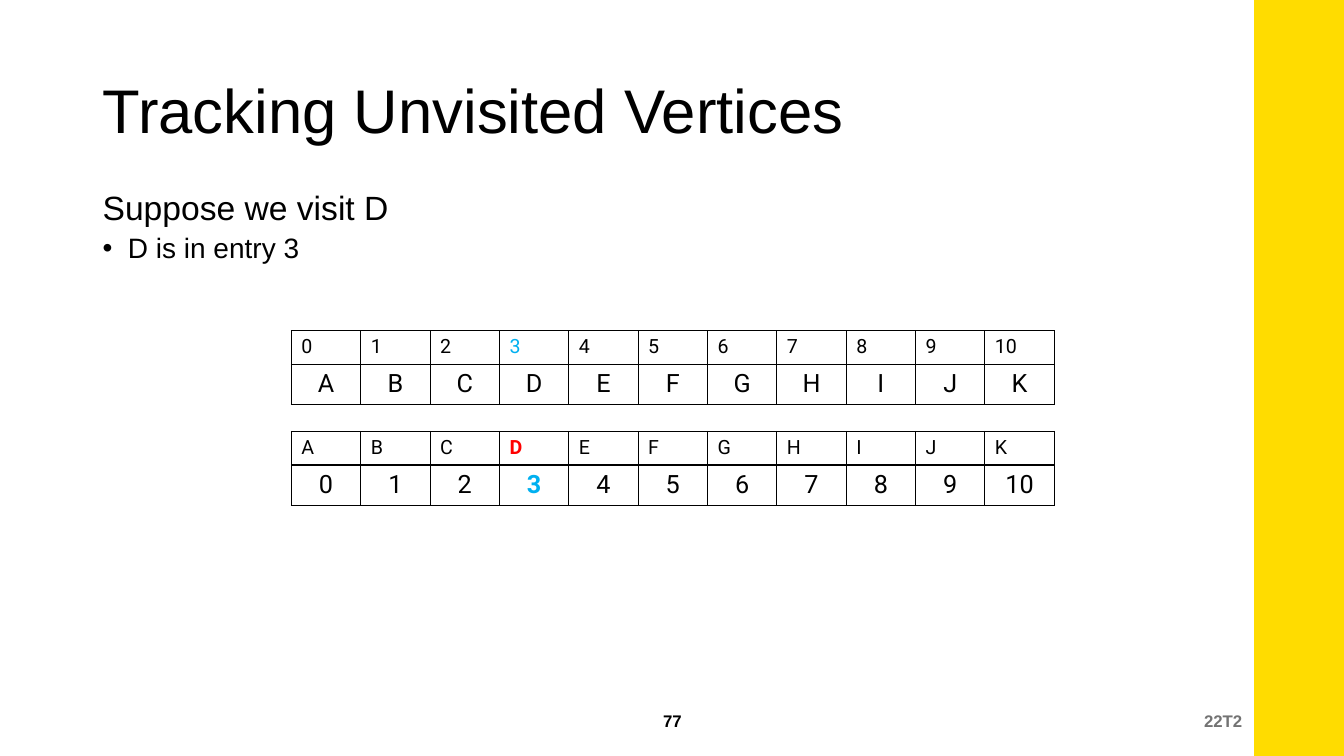
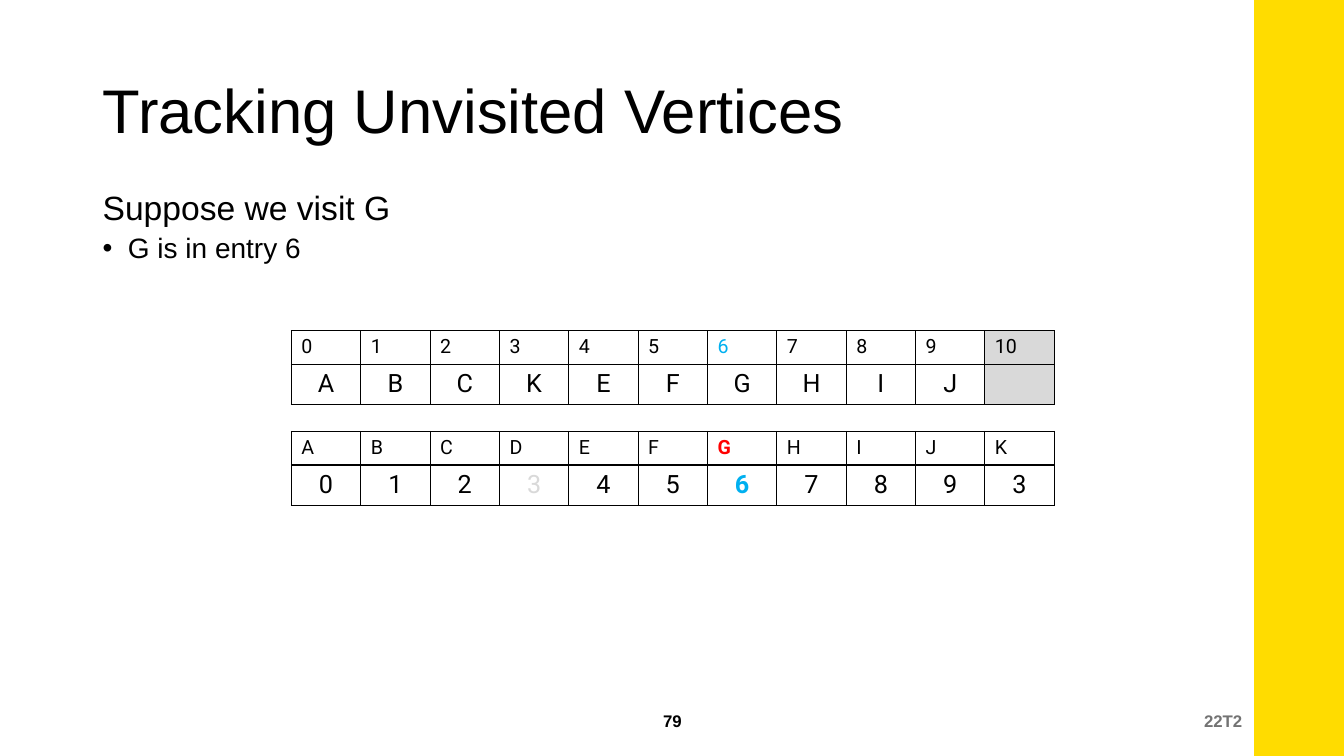
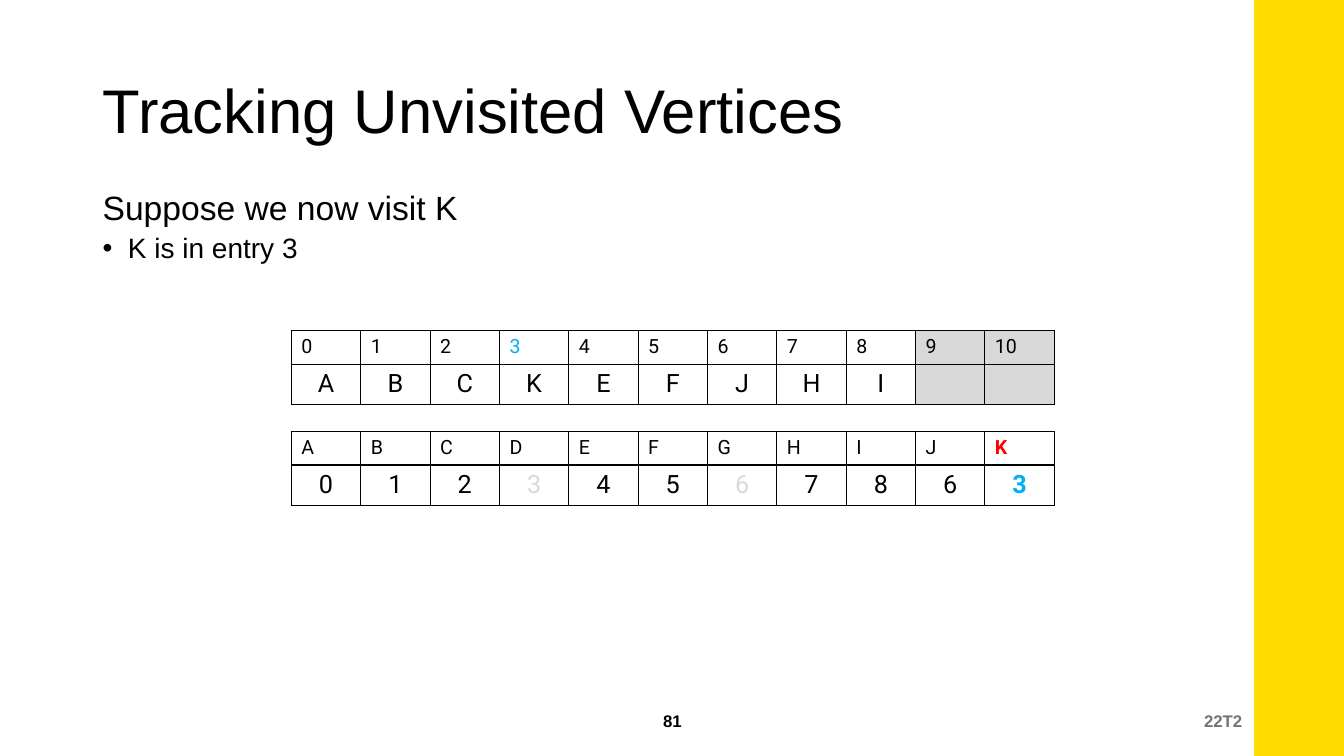
from dataclasses import dataclass

from lxml.etree import SubElement
from pptx import Presentation
from pptx.dml.color import RGBColor
from pptx.enum.shapes import MSO_SHAPE
from pptx.enum.text import MSO_ANCHOR, MSO_AUTO_SIZE, PP_ALIGN
from pptx.oxml.ns import qn
from pptx.util import Inches, Pt

BLACK, WHITE, YELLOW = "000000", "FFFFFF", "FFDC00"
RED, BLUE, PALE_GREY, FOOTER_GREY = "FF0000", "00B0F0", "D9D9D9", "737373"
TITLE = "Tracking Unvisited Vertices"
VERTICES = "ABCDEFGHIJK"
TITLE_ONLY_LAYOUT = 5
ROW_HEIGHTS = (Inches(0.33), Inches(0.4))


@dataclass(frozen=True)
class Visit:
    vertex: str
    heading: str
    page: int


@dataclass(frozen=True)
class CellStyle:
    text: str
    color: str = BLACK
    bold: bool = False
    fill: str | None = None


VISITS = (
    Visit("D", "Suppose we visit D", 77),
    Visit("G", "Suppose we visit G", 79),
    Visit("K", "Suppose we now visit K", 81),
)


def rgb(color: str) -> RGBColor:
    return RGBColor.from_string(color)


def write_text(paragraph, text: str, *, size: float, color: str = BLACK,
               font: str = "Arial", bold: bool = False, align=PP_ALIGN.LEFT,
               line_spacing: float = 1.0, space_before: float = 0,
               bullet: str | None = None) -> None:
    if bullet:
        properties = paragraph._p.get_or_add_pPr()
        properties.set("marL", str(Inches(0.25)))
        properties.set("indent", str(-Inches(0.25)))
        SubElement(properties, qn("a:buFont")).set("typeface", "Arial")
        SubElement(properties, qn("a:buChar")).set("char", bullet)
    paragraph.alignment = align
    paragraph.line_spacing = line_spacing
    paragraph.space_before = Pt(space_before)
    run = paragraph.add_run()
    run.text = text
    run.font.name = font
    run.font.size = Pt(size)
    run.font.bold = bold
    run.font.color.rgb = rgb(color)


def add_text_frame(slide, left: float, top: float, width: float, height: float,
                   anchor=MSO_ANCHOR.TOP):
    box = slide.shapes.add_textbox(Inches(left), Inches(top), Inches(width), Inches(height))
    frame = box.text_frame
    frame.word_wrap = True
    frame.vertical_anchor = anchor
    return frame


def add_base_slide(presentation, page: int):
    """Add a slide with the shared band, title and footers."""
    slide = presentation.slides.add_slide(presentation.slide_layouts[TITLE_ONLY_LAYOUT])
    slide.background.fill.solid()
    slide.background.fill.fore_color.rgb = rgb(WHITE)

    band = slide.shapes.add_shape(
        MSO_SHAPE.RECTANGLE, Inches(12.44), 0, Inches(0.9), presentation.slide_height)
    band.shadow.inherit = False
    band.fill.solid()
    band.fill.fore_color.rgb = rgb(YELLOW)
    band.line.fill.background()

    title = slide.shapes.title
    title.left, title.top = Inches(0.92), Inches(0.4)
    title.width, title.height = Inches(11.5), Inches(1.45)
    title.text_frame.auto_size = MSO_AUTO_SIZE.NONE
    title.text_frame.vertical_anchor = MSO_ANCHOR.MIDDLE
    write_text(title.text_frame.paragraphs[0], TITLE, size=44, line_spacing=0.9)

    term = add_text_frame(slide, 7.92, 6.95, 4.5, 0.4, MSO_ANCHOR.MIDDLE)
    write_text(term.paragraphs[0], "22T2", size=12, color=FOOTER_GREY, bold=True,
               align=PP_ALIGN.RIGHT)
    number = add_text_frame(slide, 5.17, 6.95, 3, 0.4, MSO_ANCHOR.MIDDLE)
    write_text(number.paragraphs[0], str(page), size=12, bold=True, align=PP_ALIGN.CENTER)
    return slide


def add_borders(cell) -> None:
    properties = cell._tc.get_or_add_tcPr()
    for side in ("lnL", "lnR", "lnT", "lnB"):
        line = SubElement(properties, qn(f"a:{side}"), w=str(Pt(1)))
        fill = SubElement(line, qn("a:solidFill"))
        SubElement(fill, qn("a:srgbClr"), val=BLACK)


def add_array(slide, top: float, labels: list[CellStyle], values: list[CellStyle]) -> None:
    """Draw an array as a row of small labels above a row of values."""
    table = slide.shapes.add_table(
        2, len(labels), Inches(2.89), Inches(top), Inches(7.57), sum(ROW_HEIGHTS)).table
    table.first_row = table.horz_banding = False
    formats = ((labels, 14, PP_ALIGN.LEFT), (values, 18, PP_ALIGN.CENTER))
    for row_index, (styles, size, align) in enumerate(formats):
        table.rows[row_index].height = ROW_HEIGHTS[row_index]
        for column_index, style in enumerate(styles):
            cell = table.cell(row_index, column_index)
            add_borders(cell)
            if style.fill:
                cell.fill.solid()
                cell.fill.fore_color.rgb = rgb(style.fill)
            else:
                cell.fill.background()
            if style.text:
                write_text(cell.text_frame.paragraphs[0], style.text, size=size,
                           color=style.color, bold=style.bold, font="Roboto", align=align)


def add_visit_slide(presentation, visit: Visit, entries: list[str],
                    positions: dict[str, int]) -> None:
    slide = add_base_slide(presentation, visit.page)
    entry = positions[visit.vertex]

    body = add_text_frame(slide, 0.92, 1.85, 11.5, 4.76)
    write_text(body.paragraphs[0], visit.heading, size=24, line_spacing=0.9)
    write_text(body.add_paragraph(), f"{visit.vertex} is in entry {entry}", size=20,
               line_spacing=0.9, space_before=5, bullet="•")

    index_cells, entry_cells = [], []
    for index in range(len(VERTICES)):
        used = index < len(entries)
        fill = None if used else PALE_GREY
        index_cells.append(CellStyle(str(index), BLUE if index == entry else BLACK, fill=fill))
        entry_cells.append(CellStyle(entries[index] if used else "", fill=fill))
    add_array(slide, 3.28, index_cells, entry_cells)

    vertex_cells, position_cells = [], []
    for vertex in VERTICES:
        current = vertex == visit.vertex
        color = BLUE if current else BLACK if vertex in entries else PALE_GREY
        vertex_cells.append(CellStyle(vertex, RED if current else BLACK, current))
        position_cells.append(CellStyle(str(positions[vertex]), color, current))
    add_array(slide, 4.28, vertex_cells, position_cells)


def remove_vertex(vertex: str, entries: list[str], positions: dict[str, int]) -> None:
    """Move the last unvisited vertex into the entry of the visited one."""
    last = entries.pop()
    if last != vertex:
        entries[positions[vertex]] = last
        positions[last] = positions[vertex]


def main() -> None:
    presentation = Presentation()
    presentation.slide_width, presentation.slide_height = Inches(13.33), Inches(7.5)
    entries = list(VERTICES)
    positions = {vertex: index for index, vertex in enumerate(VERTICES)}
    for visit in VISITS:
        add_visit_slide(presentation, visit, entries, positions)
        remove_vertex(visit.vertex, entries, positions)
    presentation.save("out.pptx")


if __name__ == "__main__":
    main()
